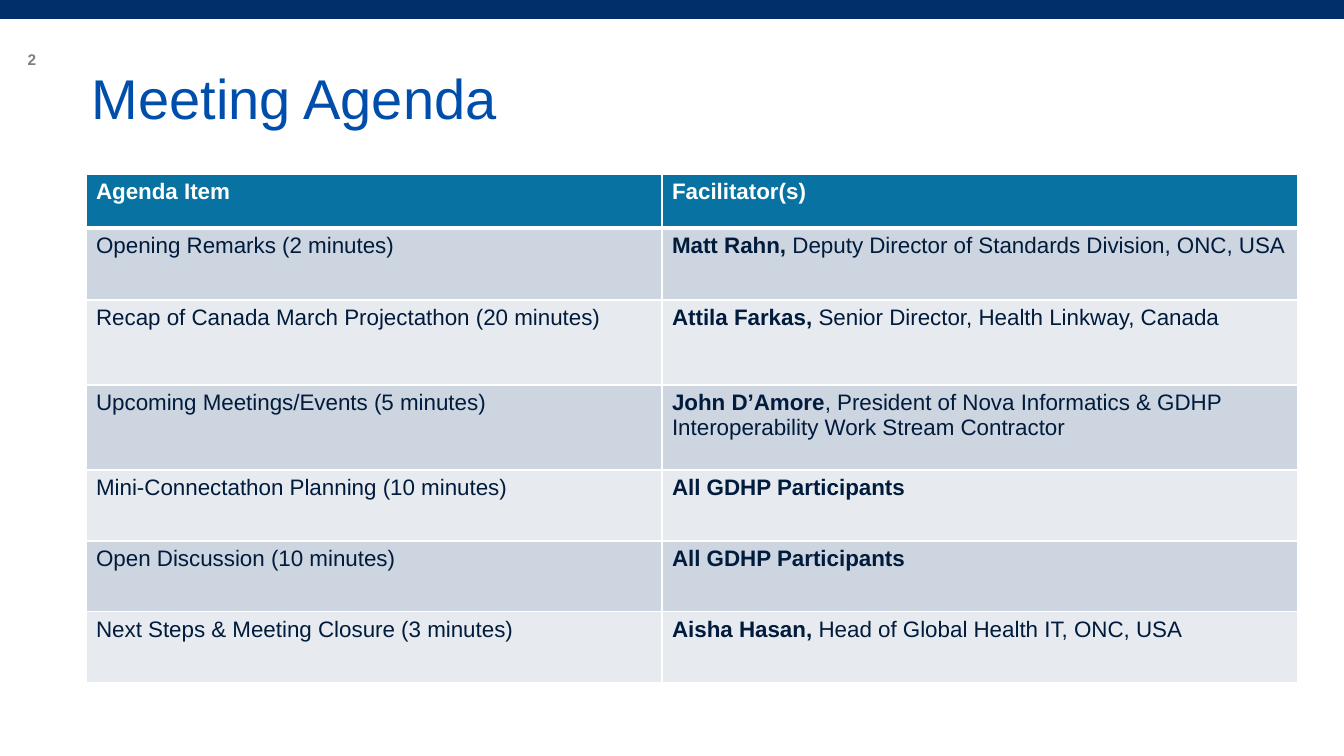
from dataclasses import dataclass

import pptx
import pptx.dml.color
import pptx.enum.shapes
import pptx.enum.text
import pptx.oxml
import pptx.oxml.ns
import pptx.util

RGB = pptx.dml.color.RGBColor
WHITE = RGB(0xFF, 0xFF, 0xFF)
NAVY = RGB(0x00, 0x2F, 0x69)
BLUE = RGB(0x00, 0x4E, 0xAC)
TEAL = RGB(0x08, 0x73, 0xA3)
INK = RGB(0x00, 0x1B, 0x3C)
GRAY = RGB(0x80, 0x80, 0x80)
BANDS = (RGB(0xCC, 0xD5, 0xE0), RGB(0xE7, 0xEB, 0xF0))
FACE = "Arial"
SCALE = 914400 / 100.8


@dataclass(frozen=True)
class Item:
    topic: str
    lead: str
    role: str
    height: int


@dataclass(frozen=True)
class Label:
    text: str
    box: tuple[int, int, int, int]
    size: int
    color: RGB
    bold: bool
    align: pptx.enum.text.PP_ALIGN
    anchor: pptx.enum.text.MSO_ANCHOR
    spacing: float


AGENDA = (
    Item("Opening Remarks (2 minutes)", "Matt Rahn, ",
         "Deputy Director of Standards Division, ONC, USA", 72),
    Item("Recap of Canada March Projectathon (20 minutes)", "Attila Farkas, ",
         "Senior Director, Health Linkway, Canada", 85),
    Item("Upcoming Meetings/Events (5 minutes)", "John D’Amore",
         ", President of Nova Informatics & GDHP Interoperability Work Stream Contractor", 85),
    Item("Mini-Connectathon Planning (10 minutes)", "All GDHP Participants", "", 71),
    Item("Open Discussion (10 minutes)", "All GDHP Participants", "", 71),
    Item("Next Steps & Meeting Closure (3 minutes)", "Aisha Hasan, ",
         "Head of Global Health IT, ONC, USA", 71),
)
HEADS = (("Agenda Item", True),), (("Facilitator(s)", True),)
HEAD_HEIGHT = 54
WIDTHS = (576, 636)

LABELS = (
    Label("2", (-3, 39, 49, 40), 11, GRAY, True,
          pptx.enum.text.PP_ALIGN.RIGHT, pptx.enum.text.MSO_ANCHOR.MIDDLE, 1.0),
    Label("Meeting Agenda", (82, 66, 994, 92), 40, BLUE, False,
          pptx.enum.text.PP_ALIGN.LEFT, pptx.enum.text.MSO_ANCHOR.TOP, 0.9),
)


def px(count: int) -> int:
    return pptx.util.Emu(round(count * SCALE))


def style(font, size: int, color: RGB) -> None:
    font.name = FACE
    font.size = pptx.util.Pt(size)
    font.color.rgb = color


def add_label(slide, label: Label) -> None:
    frame = slide.shapes.add_textbox(*map(px, label.box)).text_frame
    frame.word_wrap = True
    frame.vertical_anchor = label.anchor
    para = frame.paragraphs[0]
    para.text = label.text
    para.alignment = label.align
    para.line_spacing = label.spacing
    style(para.font, label.size, label.color)
    para.font.bold = label.bold


def add_bar(slide) -> None:
    bar = slide.shapes.add_shape(
        pptx.enum.shapes.MSO_SHAPE.RECTANGLE, px(-3), 0, px(1347), px(19))
    bar.shadow.inherit = False
    bar.fill.solid()
    bar.fill.fore_color.rgb = NAVY
    bar.line.fill.background()


def set_edges(cell, base: int) -> None:
    props = cell._tc.get_or_add_tcPr()
    sides = (("lnL", 1), ("lnR", 1), ("lnT", 1), ("lnB", base))
    for index, (side, width) in enumerate(sides):
        props.insert(index, pptx.oxml.parse_xml(
            f'<a:{side} {pptx.oxml.ns.nsdecls("a")} w="{pptx.util.Pt(width)}">'
            f'<a:solidFill><a:srgbClr val="{WHITE}"/></a:solidFill></a:{side}>'))


def fill_cell(cell, parts, ink: RGB, fill: RGB, base: int) -> None:
    cell.fill.solid()
    cell.fill.fore_color.rgb = fill
    para = cell.text_frame.paragraphs[0]
    style(para.font, 16, ink)
    for text, bold in parts:
        if text:
            run = para.add_run()
            run.text = text
            run.font.bold = bold
    set_edges(cell, base)


def add_agenda(slide) -> None:
    heights = (HEAD_HEIGHT, *(item.height for item in AGENDA))
    table = slide.shapes.add_table(
        len(heights), len(WIDTHS), px(86), px(174),
        px(sum(WIDTHS)), px(sum(heights))).table
    for column, width in zip(table.columns, WIDTHS):
        column.width = px(width)
    for row, height in zip(table.rows, heights):
        row.height = px(height)
    for column, parts in enumerate(HEADS):
        fill_cell(table.cell(0, column), parts, WHITE, TEAL, 3)
    for index, item in enumerate(AGENDA):
        cells = ((item.topic, False),), ((item.lead, True), (item.role, False))
        for column, parts in enumerate(cells):
            fill_cell(table.cell(index + 1, column), parts, INK, BANDS[index % 2], 1)


def main() -> None:
    deck = pptx.Presentation()
    deck.slide_width = px(1344)
    deck.slide_height = px(756)
    slide = deck.slides.add_slide(deck.slide_layouts[6])
    add_bar(slide)
    for label in LABELS:
        add_label(slide, label)
    add_agenda(slide)
    deck.save("out.pptx")


if __name__ == "__main__":
    main()
